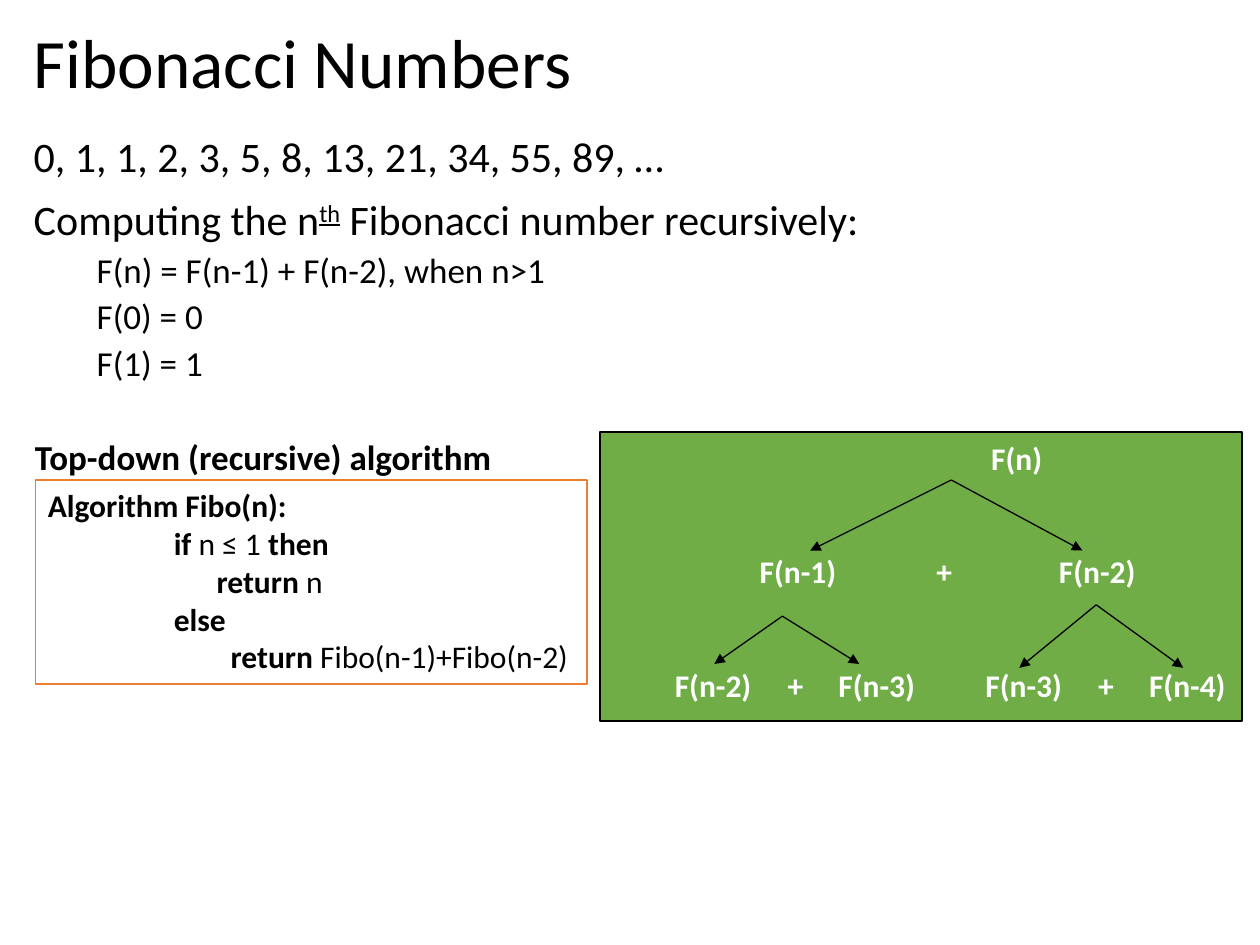
from lxml.etree import SubElement
from pptx import Presentation
from pptx.dml.color import RGBColor
from pptx.enum.shapes import MSO_CONNECTOR, MSO_SHAPE
from pptx.enum.text import MSO_ANCHOR, PP_ALIGN
from pptx.oxml.ns import qn
from pptx.util import Pt

BLACK = RGBColor(0, 0, 0)
WHITE = RGBColor(255, 255, 255)
GREEN = RGBColor(0x70, 0xAD, 0x47)
ORANGE = RGBColor(0xED, 0x7D, 0x31)
FONT = "Calibri"

TITLE = [(0, 0, 39.6, [("Fibonacci Numbers", "")])]
# Lines hold (left indent, space before, size, runs); a run is (text, style).
BODY = [
    (0, 10, 24, [("0, 1, 1, 2, 3, 5, 8, 13, 21, 34, 55, 89, …", "")]),
    (0, 10, 24, [("Computing the n", ""), ("th", "super"),
                 (" Fibonacci number recursively:", "")]),
    (36, 5, 20, [("F(n) = F(n-1) + F(n-2), when n>1", "")]),
    (36, 5, 20, [("F(0) = 0", "")]),
    (36, 5, 20, [("F(1) = 1", "")]),
    (0.72, 32, 20, [("Top-down (recursive) algorithm", "bold")]),
]
CODE = [
    (0, 0, 18, [("Algorithm Fibo(n):", "bold")]),
    (72, 0, 18, [("if", "bold"), (" n ≤ 1 ", ""), ("then", "bold")]),
    (96.5, 0, 18, [("return ", "bold"), ("n", "")]),
    (72, 0, 18, [("else", "bold")]),
    (104.5, 0, 18, [("return ", "bold"), ("Fibo(n-1)+Fibo(n-2)", "")]),
]
# Each tree row: (label, horizontal centre)
TREE = [
    [("F(n)", 581)],
    [("F(n-1)", 456), ("+", 539.5), ("F(n-2)", 627)],
    [("F(n-2)", 407.5), ("+", 454.5), ("F(n-3)", 501),
     ("F(n-3)", 585), ("+", 632), ("F(n-4)", 678.5)],
]
ROW_TOP, ROW_STEP = 250.6, 65
LABEL_H = 22
# Each fork: apex, then left and right tips
FORKS = [
    ((543.6, 274.3), (463, 314.6), (618.5, 314.6)),
    ((447.1, 352.1), (408.2, 379.4), (491, 379.4)),
    ((626.4, 345.6), (582.5, 381.6), (676.1, 381.6)),
]


def write(frame, lines, color, spacing=1.0, align=PP_ALIGN.LEFT):
    frame.word_wrap = True
    for i, (left, before, size, runs) in enumerate(lines):
        para = frame.paragraphs[0] if i == 0 else frame.add_paragraph()
        para.alignment = align
        para.line_spacing = spacing
        para.space_before = Pt(before)
        props = para._p.get_or_add_pPr()
        props.set("marL", str(Pt(left)))
        props.set("indent", "0")
        for text, style in runs:
            run = para.add_run()
            run.text = text
            font = run.font
            font.name, font.size = FONT, Pt(size)
            font.color.rgb = color
            font.bold = style == "bold"
            if style == "super":
                font.underline = True
                run._r.get_or_add_rPr().set("baseline", "30000")


def add_text(slide, box, lines, anchor):
    frame = slide.shapes.add_textbox(*map(Pt, box)).text_frame
    frame.vertical_anchor = anchor
    write(frame, lines, BLACK, 0.9)


def add_label(slide, text, centre, top):
    wide = 20 if text == "+" else 56
    box = (centre - wide / 2, top, wide, LABEL_H)
    frame = slide.shapes.add_textbox(*map(Pt, box)).text_frame
    frame.margin_left = frame.margin_right = 0
    frame.margin_top = frame.margin_bottom = 0
    write(frame, [(0, 0, 18, [(text, "bold")])], WHITE,
          align=PP_ALIGN.CENTER)


def add_panel(slide, box, fill, edge):
    panel = slide.shapes.add_shape(MSO_SHAPE.RECTANGLE, *map(Pt, box))
    panel.shadow.inherit = False
    panel.fill.solid()
    panel.fill.fore_color.rgb = fill
    panel.line.color.rgb = edge
    panel.line.width = Pt(1)
    panel.text_frame.vertical_anchor = MSO_ANCHOR.TOP
    return panel.text_frame


def add_tree(slide):
    add_panel(slide, (342.7, 247, 367.2, 164.9), GREEN, BLACK)
    for i, row in enumerate(TREE):
        for text, centre in row:
            add_label(slide, text, centre, ROW_TOP + i * ROW_STEP)
    for apex, *tips in FORKS:
        for tip in tips:
            add_arrow(slide, apex, tip)


def add_arrow(slide, start, end):
    arrow = slide.shapes.add_connector(
        MSO_CONNECTOR.STRAIGHT, *map(Pt, start + end))
    arrow.line.color.rgb = BLACK
    arrow.line.width = Pt(0.75)
    props = arrow._element.spPr
    SubElement(props.find(qn("a:ln")), qn("a:tailEnd"), type="triangle")
    SubElement(props, qn("a:effectLst"))


def main():
    deck = Presentation()
    deck.slide_width, deck.slide_height = Pt(720), Pt(540)
    slide = deck.slides.add_slide(deck.slide_layouts[6])
    add_text(slide, (12.2, 11.3, 692.6, 53.3), TITLE, MSO_ANCHOR.MIDDLE)
    add_text(slide, (12.2, 74.2, 692.6, 412.6), BODY, MSO_ANCHOR.TOP)
    add_tree(slide)
    code = add_panel(slide, (20.2, 274.3, 315.4, 116.6), WHITE, ORANGE)
    write(code, CODE, BLACK)
    deck.save("out.pptx")


if __name__ == "__main__":
    main()
